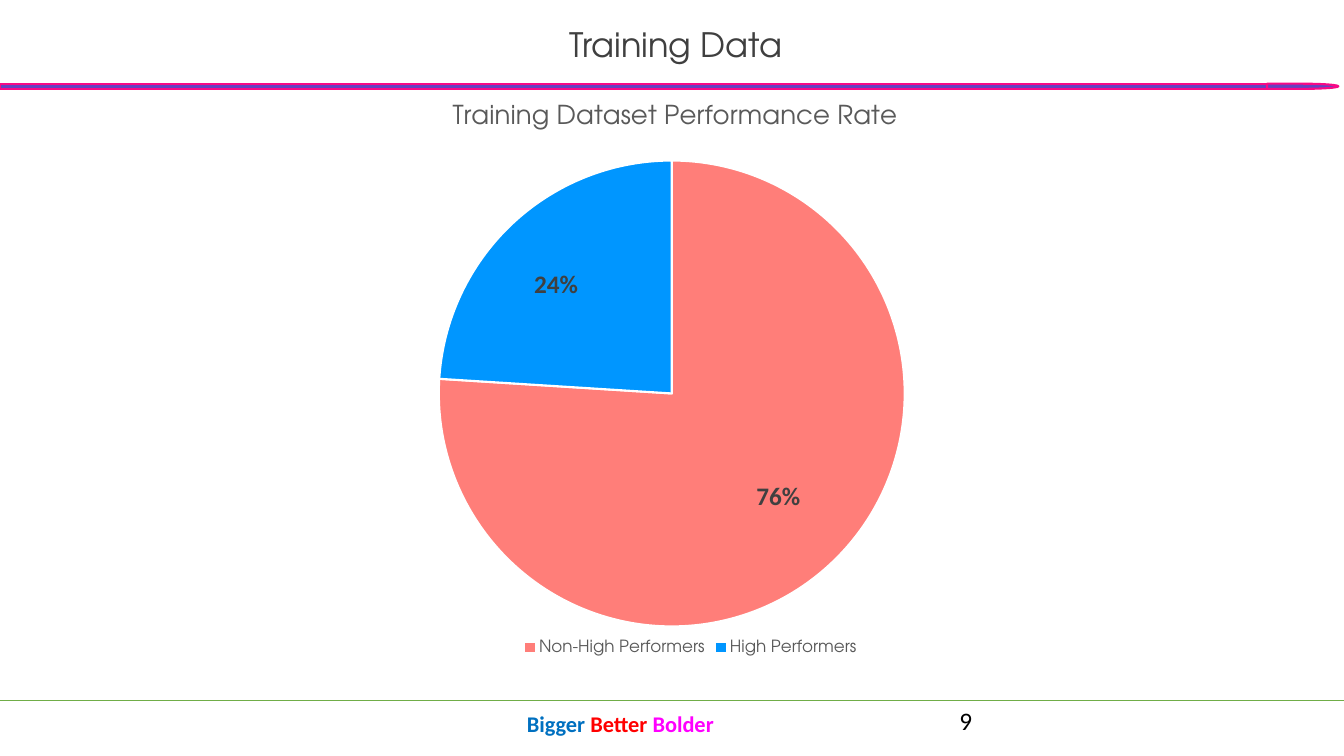
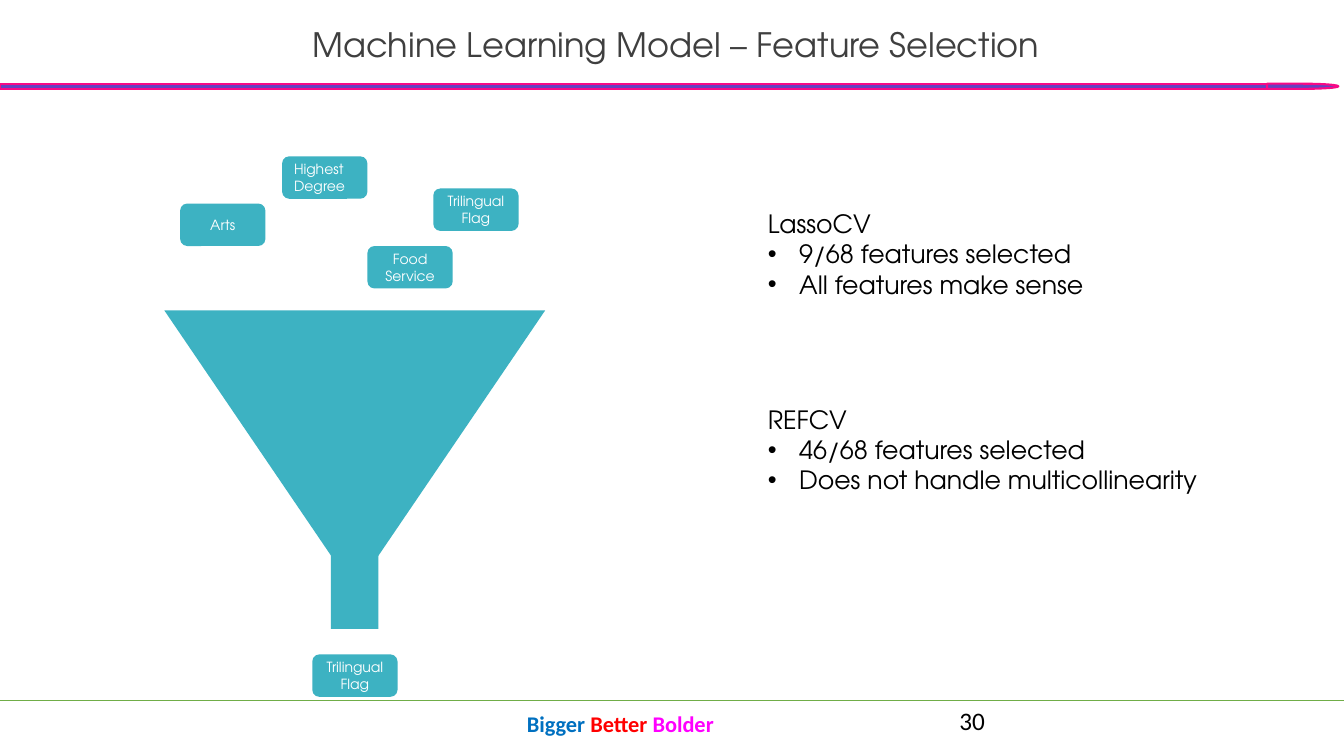
from lxml.etree import SubElement
from pptx import Presentation
from pptx.chart.data import CategoryChartData
from pptx.dml.color import RGBColor
from pptx.enum.chart import XL_CHART_TYPE, XL_LABEL_POSITION, XL_LEGEND_POSITION
from pptx.enum.shapes import MSO_CONNECTOR, MSO_SHAPE
from pptx.enum.text import MSO_ANCHOR, MSO_AUTO_SIZE, PP_ALIGN
from pptx.oxml.ns import qn
from pptx.util import Cm, Pt

SLIDE_WIDTH, SLIDE_HEIGHT = 33.87, 19.05
HEADING_FONT, BODY_FONT = "TeX Gyre Adventor", "Calibri"
TEAL, VIOLET, PINK, GREEN = "3DB2C2", "6540C0", "F70986", "70AD47"
BLACK, WHITE, DARK, GRAY = "000000", "FFFFFF", "3F3F3F", "595959"
MOTTO = [("Bigger ", "0070C0"), ("Better ", "FF0000"), ("Bolder", "FF00FF")]


def rgb(hex_color):
    return RGBColor.from_string(hex_color)


def set_font(font, size, color, name=HEADING_FONT, bold=False):
    font.size, font.name, font.bold = Pt(size), name, bold
    font.color.rgb = rgb(color)


def add_shape(slide, preset, box, fill, line=None):
    shape = slide.shapes.add_shape(preset, *map(Cm, box))
    shape.shadow.inherit = False
    shape.fill.solid()
    shape.fill.fore_color.rgb = rgb(fill)
    if line:
        shape.line.color.rgb = rgb(line)
        shape.line.width = Pt(1.5)
    else:
        shape.line.fill.background()
    return shape


def add_text_frame(slide, box):
    text_frame = slide.shapes.add_textbox(*map(Cm, box)).text_frame
    text_frame.word_wrap = True
    return text_frame


def add_title(slide, title):
    shape = slide.shapes.title
    shape.left, shape.top, shape.width, shape.height = map(Cm, (6.22, 0.2, 21.62, 1.55))
    text_frame = shape.text_frame
    text_frame.text = title
    text_frame.auto_size = MSO_AUTO_SIZE.NONE
    text_frame.vertical_anchor = MSO_ANCHOR.BOTTOM
    paragraph = text_frame.paragraphs[0]
    paragraph.alignment = PP_ALIGN.CENTER
    paragraph.line_spacing = 0.9
    set_font(paragraph.runs[0].font, 24, DARK)


def add_title_band(slide, top=2.11, height=0.13):
    add_shape(slide, MSO_SHAPE.RECTANGLE, (0, top, 32, height), VIOLET, PINK)
    add_shape(slide, MSO_SHAPE.FLOWCHART_DELAY, (31.93, top, 1.8, height), VIOLET, PINK)


def add_footer(slide, number, top=17.65):
    rule = slide.shapes.add_connector(
        MSO_CONNECTOR.STRAIGHT, 0, Cm(top), Cm(SLIDE_WIDTH), Cm(top))
    rule.line.color.rgb = rgb(GREEN)
    rule.line.width = Pt(0.5)
    SubElement(rule.element.spPr, qn("a:effectLst"))
    motto = add_text_frame(slide, (13.03, top + 0.13, 5.94, 1.02)).paragraphs[0]
    for word, color in MOTTO:
        run = motto.add_run()
        run.text = word
        set_font(run.font, 16, color, BODY_FONT, bold=True)
    page = add_text_frame(slide, (23.93, top, 7.62, 1.02))
    page.text = str(number)
    set_font(page.paragraphs[0].runs[0].font, 18, BLACK, BODY_FONT)


def add_base_slide(presentation, title, number):
    slide = presentation.slides.add_slide(presentation.slide_layouts[5])
    add_title_band(slide)
    add_footer(slide, number)
    add_title(slide, title)
    return slide


def set_chart_layout(parent, index, **values):
    """Put a manual layout, in fractions of the chart, at a child index of parent."""
    for old in parent.findall(qn("c:layout")):
        parent.remove(old)
    layout = parent.makeelement(qn("c:layout"))
    parent.insert(index, layout)
    manual = SubElement(layout, qn("c:manualLayout"))
    for name, value in values.items():
        SubElement(manual, qn("c:" + name)).set("val", str(value))


def add_performance_chart(slide, box):
    data = CategoryChartData(number_format="0%")
    data.categories = ["Non-High Performers", "High Performers"]
    data.add_series("Series 1", (0.76, 0.24))
    chart = slide.shapes.add_chart(XL_CHART_TYPE.PIE, *map(Cm, box), data).chart
    set_font(chart.font, 10, BLACK, BODY_FONT)

    chart.has_title = True
    title = chart.chart_title.text_frame
    title.text = "Training Dataset Performance Rate"
    set_font(title.paragraphs[0].runs[0].font, 18.6, GRAY)
    chart.has_legend = True
    chart.legend.position = XL_LEGEND_POSITION.BOTTOM
    chart.legend.include_in_layout = False
    set_font(chart.legend.font, 12, GRAY)

    plot = chart.plots[0]
    plot.vary_by_categories = True
    for index, color in enumerate(("FF7E79", "0096FF")):
        point = plot.series[0].points[index]
        point.format.fill.solid()
        point.format.fill.fore_color.rgb = rgb(color)
        point.format.line.color.rgb = rgb(WHITE)
        point.format.line.width = Pt(1.5)
        set_font(point.data_label.font, 18, "404040", BODY_FONT, bold=True)
        point.data_label.position = XL_LABEL_POSITION.CENTER

    root = chart.element
    set_chart_layout(root.find(".//" + qn("c:title")), 1,
                     xMode="edge", yMode="edge", x=0.25, y=0.03)
    set_chart_layout(root.find(".//" + qn("c:plotArea")), 0, layoutTarget="inner",
                     xMode="edge", yMode="edge", x=0.24, y=0.13, w=0.52, h=0.79)
    set_chart_layout(root.find(".//" + qn("c:legend")), 1,
                     xMode="edge", yMode="edge", x=0.33, y=0.93)
    offsets = ((0.03, 0.03), (-0.04, -0.04))
    for label, (x, y) in zip(root.findall(".//" + qn("c:dLbl")), offsets):
        set_chart_layout(label, 1, x=x, y=y)


def add_feature(slide, left, top, name, alignment=PP_ALIGN.CENTER):
    shape = add_shape(slide, MSO_SHAPE.ROUNDED_RECTANGLE, (left, top, 2.15, 1.07), TEAL)
    text_frame = shape.text_frame
    text_frame.text = name
    text_frame.word_wrap = True
    text_frame.vertical_anchor = MSO_ANCHOR.MIDDLE
    paragraph = text_frame.paragraphs[0]
    paragraph.alignment = alignment
    set_font(paragraph.runs[0].font, 10, WHITE)


def add_feature_funnel(slide, left, top):
    cone = add_shape(slide, MSO_SHAPE.ISOSCELES_TRIANGLE,
                     (left, top + 3.88, 9.6, 7.06), TEAL)
    cone.rotation = 180
    add_shape(slide, MSO_SHAPE.RECTANGLE, (left + 4.2, top + 9.95, 1.2, 1.96), TEAL)
    add_feature(slide, left + 0.4, top + 1.19, "Arts")
    add_feature(slide, left + 2.97, top, "Highest Degree", PP_ALIGN.LEFT)
    add_feature(slide, left + 5.12, top + 2.26, "Food Service")
    add_feature(slide, left + 6.78, top + 0.81, "Trilingual Flag")
    add_feature(slide, left + 3.73, top + 12.55, "Trilingual Flag")


def add_method(slide, box, name, findings):
    text_frame = add_text_frame(slide, box)
    text_frame.text = "\n".join([name, *findings])
    for index, paragraph in enumerate(text_frame.paragraphs):
        if index:
            properties = paragraph._p.get_or_add_pPr()
            properties.set("marL", str(Cm(0.79)))
            properties.set("indent", str(-Cm(0.79)))
            SubElement(properties, qn("a:buFont")).set("typeface", "Arial")
            SubElement(properties, qn("a:buChar")).set("char", "•")
        set_font(paragraph.runs[0].font, 18, BLACK)


def build_training_data(presentation):
    slide = add_base_slide(presentation, "Training Data", 9)
    add_performance_chart(slide, (5.64, 2.01, 22.58, 15.06))


def build_feature_selection(presentation):
    slide = add_base_slide(presentation, "Machine Learning Model – Feature Selection", 30)
    add_feature_funnel(slide, 4.14, 3.94)
    add_method(slide, (19.1, 5.13, 10.21, 2.57), "LassoCV",
               ["9/68 features selected", "All features make sense"])
    add_method(slide, (19.1, 10.06, 11.46, 2.57), "REFCV",
               ["46/68 features selected", "Does not handle multicollinearity"])


def main():
    presentation = Presentation()
    presentation.slide_width, presentation.slide_height = Cm(SLIDE_WIDTH), Cm(SLIDE_HEIGHT)
    build_training_data(presentation)
    build_feature_selection(presentation)
    presentation.save("out.pptx")


if __name__ == "__main__":
    main()
